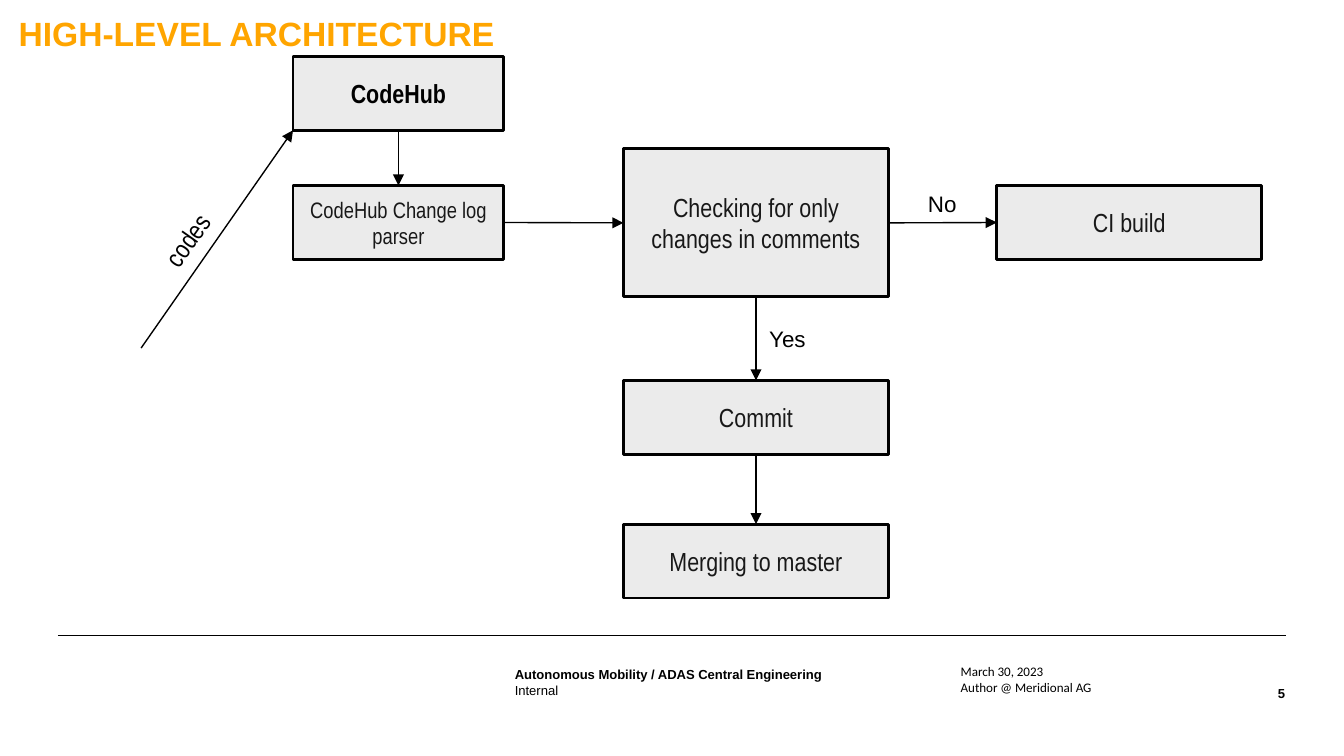
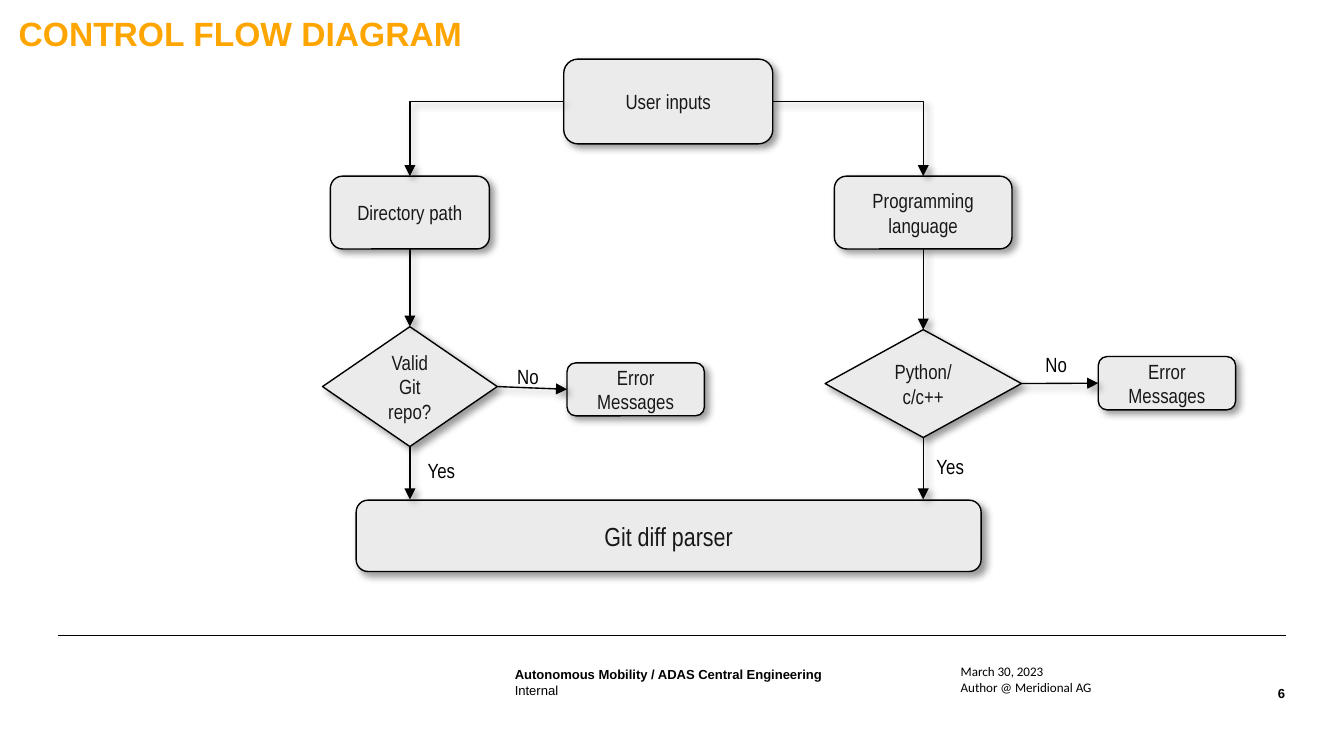
from pptx import Presentation
from pptx.dml.color import RGBColor
from pptx.enum.shapes import MSO_CONNECTOR, MSO_SHAPE
from pptx.enum.text import MSO_ANCHOR, MSO_AUTO_SIZE, PP_ALIGN
from pptx.oxml import parse_xml
from pptx.oxml.ns import nsdecls, qn
from pptx.util import Pt

# Shared style
ORANGE, BLACK, INK, GREY = "FFA500", "000000", "181818", "EBEBEB"
SANS, NARROW, FOOTER = "Arial", "Arial Narrow", "Calibri"
TOP, LEFT, BOTTOM, RIGHT = range(4)  # connection sites of a box
FIRST_PAGE = 5


def color(code):
    return RGBColor.from_string(code)


class FlowDeck:
    """Holds the deck style and the slide being drawn."""

    def __init__(self):
        self.deck = Presentation()
        self.deck.slide_width, self.deck.slide_height = Pt(720), Pt(405)
        self.deck.element.set("firstSlideNum", str(FIRST_PAGE))
        self.page = None
        self.shadow = False

    def add_page(self, title, shadow=False):
        self.page = self.deck.slides.add_slide(self.deck.slide_layouts[5])
        self.shadow = shadow
        self.title(title)
        self.footer()

    def title(self, words):
        box = self.page.shapes.title
        box.left, box.top, box.width, box.height = Pt(10), Pt(8.6), Pt(658), Pt(57)
        frame = box.text_frame
        frame.auto_size = MSO_AUTO_SIZE.NONE
        frame.vertical_anchor = MSO_ANCHOR.TOP
        self.margins(frame, right=7.2)
        frame.text = words
        para = frame.paragraphs[0]
        para.line_spacing = 0.95
        self.style(para, 18, SANS, ORANGE, True, PP_ALIGN.LEFT)

    def footer(self):
        self.line(self.page.shapes.add_connector(
            MSO_CONNECTOR.STRAIGHT, Pt(31), Pt(340.6), Pt(689), Pt(340.6)), 0.35)
        unit = self.label("Autonomous Mobility / ADAS Central Engineering\nInternal",
                          275.8, 357, 215, 24.5, 7, SANS)
        self.margins(unit.text_frame)
        unit.text_frame.paragraphs[0].font.bold = True
        self.label("March 30, 2023\nAuthor @ Meridional AG", 507.6, 352, 113, 22, 7, FOOTER)
        number = self.label("", 660, 367.2, 28.5, 12, 7, SANS)
        self.margins(number.text_frame)
        para = number.text_frame.paragraphs[0]
        self.style(para, 7, SANS, BLACK, True, PP_ALIGN.RIGHT)
        shown = FIRST_PAGE + len(self.deck.slides) - 1
        para._p.append(parse_xml(
            f'<a:fld {nsdecls("a")} id="{{B6F15528-21DE-4FAA-801E-634DDDAF4B2B}}" '
            f'type="slidenum"><a:rPr lang="en-US"/><a:t>{shown}</a:t></a:fld>'))

    def margins(self, frame, right=0):
        frame.margin_left = frame.margin_top = frame.margin_bottom = 0
        frame.margin_right = Pt(right)

    def style(self, para, size, font, ink, bold=False, align=None):
        para.font.size, para.font.name, para.font.bold = Pt(size), font, bold
        para.font.color.rgb = color(ink)
        para.alignment = align

    def effects(self, item):
        """Give the item the page's drop shadow, or an empty effect list."""
        effect = '<a:outerShdw blurRad="50800" dist="38100" dir="2700000" algn="tl" ' \
                 'rotWithShape="0"><a:srgbClr val="000000"><a:alpha val="40000"/>' \
                 '</a:srgbClr></a:outerShdw>' if self.shadow else ""
        item._element.spPr.append(parse_xml(
            f'<a:effectLst {nsdecls("a")}>{effect}</a:effectLst>'))

    def line(self, connector, width):
        connector.line.color.rgb = color(BLACK)
        connector.line.width = Pt(width)
        if width < 0.5:  # footer rule never casts a shadow
            connector._element.spPr.append(parse_xml(f'<a:effectLst {nsdecls("a")}/>'))
        else:
            self.effects(connector)

    def label(self, words, left, top, width, height, size, font=NARROW, rotation=0):
        box = self.page.shapes.add_textbox(Pt(left), Pt(top), Pt(width), Pt(height))
        box.rotation = rotation
        box.text_frame.word_wrap = True
        box.text_frame.text = words
        for para in box.text_frame.paragraphs:
            self.style(para, size, font, BLACK)
        return box

    def box(self, words, left, top, width, height, size=14, kind=MSO_SHAPE.RECTANGLE,
            border=1.5, ink=INK, bold=False):
        box = self.page.shapes.add_shape(kind, Pt(left), Pt(top), Pt(width), Pt(height))
        box.fill.solid()
        box.fill.fore_color.rgb = color(GREY)
        box.line.color.rgb = color(BLACK)
        box.line.width = Pt(border)
        self.effects(box)
        frame = box.text_frame
        frame.word_wrap = True
        frame.vertical_anchor = MSO_ANCHOR.MIDDLE
        frame.text = words
        self.style(frame.paragraphs[0], size, NARROW, ink, bold, PP_ALIGN.CENTER)
        return box

    def step(self, words, left, top, width, height, size=11):
        return self.box(words, left, top, width, height, size,
                        MSO_SHAPE.ROUNDED_RECTANGLE, 0.75)

    def decision(self, words, left, top, width, height):
        return self.box(words, left, top, width, height, 11, MSO_SHAPE.DIAMOND, 0.75)

    def arrow(self, start, end, elbow=False):
        """Each end is a (box, site) pair or an (x, y) point."""
        def is_point(place):
            return isinstance(place[0], (int, float))

        points = [Pt(v) for place in (start, end)
                  for v in (place if is_point(place) else (0, 0))]
        kind = MSO_CONNECTOR.ELBOW if elbow else MSO_CONNECTOR.STRAIGHT
        connector = self.page.shapes.add_connector(kind, *points)
        if not is_point(start):
            connector.begin_connect(*start)
        if not is_point(end):
            connector.end_connect(*end)
        if elbow:
            connector._element.spPr.find(qn("a:prstGeom")).set("prst", "bentConnector2")
        self.line(connector, 0.75)
        connector.line._get_or_add_ln().append(parse_xml(
            f'<a:tailEnd {nsdecls("a")} type="triangle"/>'))


def architecture(flow):
    flow.add_page("HIGH-LEVEL ARCHITECTURE")

    # Boxes
    source = flow.box("CodeHub", 157, 30.2, 113, 39.6, ink=BLACK, bold=True)
    parser = flow.box("CodeHub Change log parser", 157, 99.4, 113, 39.6, 12)
    column, width = 334, 142
    check = flow.box("Checking for only changes in comments", column, 79.8, width, 79.2)
    commit = flow.box("Commit", column, 203.8, width, 39.6)
    merge = flow.box("Merging to master", column, 280.8, width, 39.6)
    build = flow.box("CI build", 534, 99.4, width, 39.6)

    # Arrows
    flow.arrow((75.6, 186.5), (157, 69.8))
    flow.arrow((source, BOTTOM), (parser, TOP))
    flow.arrow((parser, RIGHT), (check, LEFT))
    flow.arrow((check, RIGHT), (build, LEFT))
    flow.arrow((check, BOTTOM), (commit, TOP))
    flow.arrow((commit, BOTTOM), (merge, TOP))

    # Arrow labels
    flow.label("codes", 53.6, 69.4, 160, 24.5, 14, rotation=305.2)
    flow.label("Yes", 405, 170.6, 44, 21.6, 12, SANS)
    flow.label("No", 490, 98.6, 40, 21.6, 12, SANS)


def control_flow(flow):
    flow.add_page("CONTROL FLOW DIAGRAM", shadow=True)

    # Steps and decisions
    inputs = flow.step("User inputs", 302, 31.7, 112, 45.4)
    flow.step("Git diff parser", 190.8, 268, 334.8, 38.2, 14)
    directory = flow.step("Directory path", 177, 94.4, 85.2, 39)
    language = flow.step("Programming language", 447, 94.4, 95.2, 39)
    valid = flow.decision("Valid Git repo?", 172.8, 175, 93.6, 64.2)
    supported = flow.decision("Python/c/c++", 442, 176.6, 105.2, 57.8)
    path_error = flow.step("Error Messages", 303.8, 194.4, 73.6, 28.4)
    language_error = flow.step("Error Messages", 588.4, 191, 73.6, 28.6)

    # One branch per input
    branches = ((inputs, LEFT, directory, valid, path_error, 219.6),
                (inputs, RIGHT, language, supported, language_error, 494.6))
    for origin, side, step, decision, error, axis in branches:
        flow.arrow((origin, side), (step, TOP), elbow=True)
        flow.arrow((step, BOTTOM), (decision, TOP))
        flow.arrow((decision, RIGHT), (error, LEFT))
        flow.arrow((decision, BOTTOM), (axis, 267.6))

    # Arrow labels
    for words, left, top in (("No", 270, 191.5), ("Yes", 222, 242),
                             ("No", 553, 185), ("Yes", 494.6, 239.8)):
        flow.label(words, left, top, 46.6, 20.6, 11)


def main():
    flow = FlowDeck()
    architecture(flow)
    control_flow(flow)
    flow.deck.save("out.pptx")


if __name__ == "__main__":
    main()
